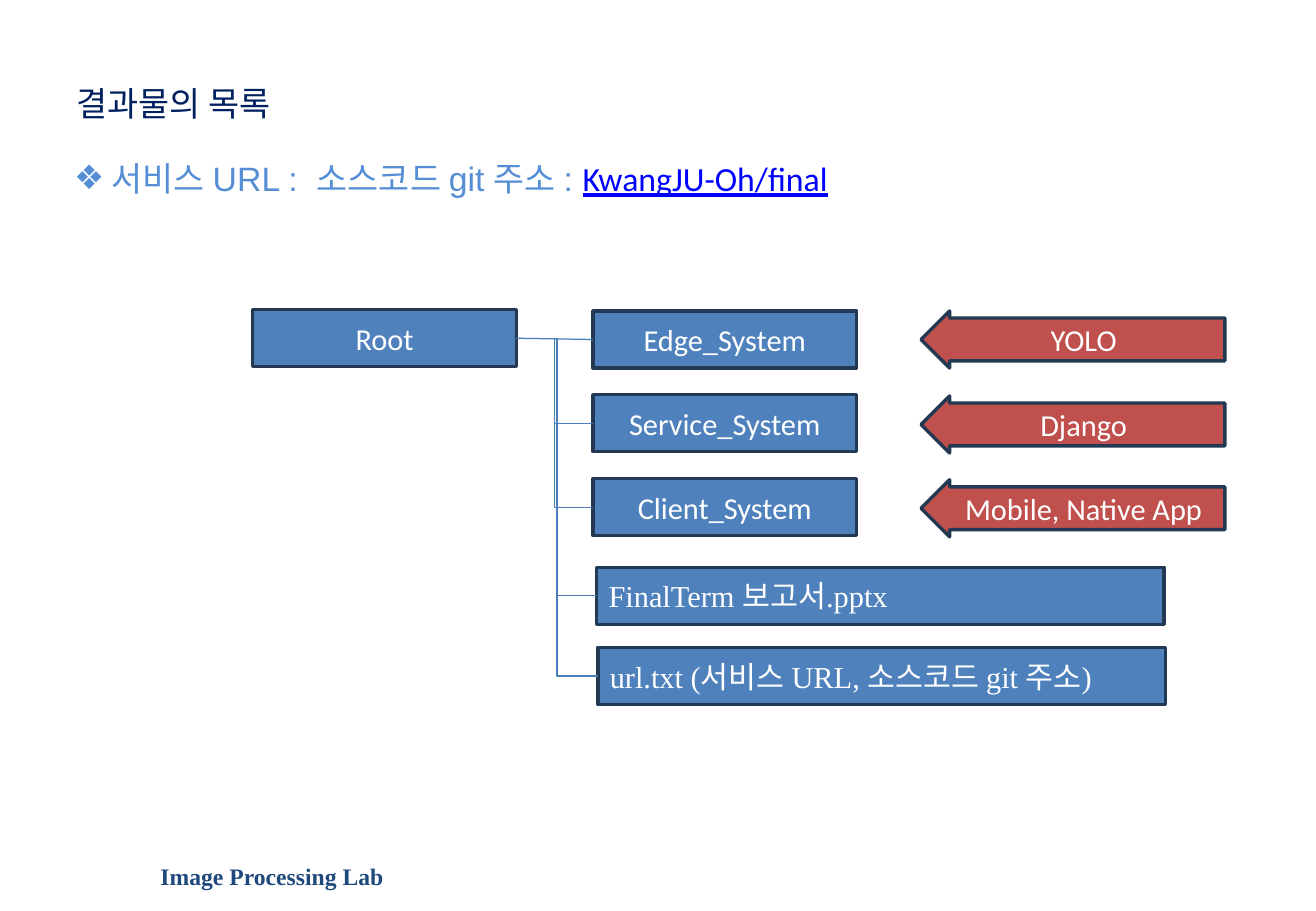
from dataclasses import dataclass

from pptx import Presentation
from pptx.dml.color import RGBColor
from pptx.enum.shapes import MSO_CONNECTOR as Connector
from pptx.enum.shapes import MSO_SHAPE as Preset
from pptx.enum.text import MSO_ANCHOR as Anchor
from pptx.enum.text import MSO_AUTO_SIZE as AutoSize
from pptx.enum.text import PP_ALIGN as Align
from pptx.oxml.ns import qn
from pptx.util import Pt

PX = 9144  # EMU in one px, 100 px to the inch

WHITE = RGBColor(0xFF, 0xFF, 0xFF)
NAVY = RGBColor(0x00, 0x20, 0x60)
FOOTER_BLUE = RGBColor(0x1F, 0x49, 0x7D)
LIST_BLUE = RGBColor(0x55, 0x8E, 0xD5)
LINK_BLUE = RGBColor(0x00, 0x00, 0xFF)
BOX_BLUE = RGBColor(0x4F, 0x81, 0xBD)
ARROW_RED = RGBColor(0xC0, 0x50, 0x4D)
OUTLINE = RGBColor(0x23, 0x39, 0x53)
BRANCH_BLUE = RGBColor(0x4B, 0x7E, 0xBC)

SANS, SERIF, ARIAL = "Calibri", "Times New Roman", "Arial"
NODE_HEIGHT = 47
RIGHT_SITE, LEFT_SITE = 3, 1


@dataclass(frozen=True)
class Node:
    text: str
    left: int
    top: int
    width: int
    font: str = SANS
    align: Align = Align.CENTER
    preset: Preset = Preset.RECTANGLE
    fill: RGBColor = BOX_BLUE


ROOT = Node("Root", 208, 255, 217)
SYSTEMS = [
    Node(name, 488, 256 + 69 * row, 217)
    for row, name in enumerate(["Edge_System", "Service_System", "Client_System"])
]
FILES = [
    Node("FinalTerm 보고서.pptx", 491, 467, 467, SERIF, Align.LEFT),
    Node("url.txt (서비스 URL, 소스코드 git 주소)", 492, 533, 467, SERIF, Align.LEFT),
]
TOOLS = [
    Node(name, 758, top, 250, preset=Preset.LEFT_ARROW, fill=ARROW_RED)
    for name, top in [("YOLO", 256), ("Django", 326), ("Mobile, Native App", 395)]
]


def style_font(font, name: str, size: int, color: RGBColor) -> None:
    font.name = name
    font.size = Pt(size)
    font.color.rgb = color


def place_text(box, left: int, top: int, width: int, height: int):
    """Moves a text shape, clears its insets and returns its first paragraph."""
    box.left, box.top = left * PX, top * PX
    box.width, box.height = width * PX, height * PX
    frame = box.text_frame
    frame.word_wrap = True
    frame.auto_size = AutoSize.NONE
    frame.vertical_anchor = Anchor.TOP
    frame.margin_left = frame.margin_right = frame.margin_bottom = 0
    frame.margin_top = PX
    para = frame.paragraphs[0]
    para.alignment = Align.LEFT
    para.space_before = Pt(0)
    return para


def add_node(page, node: Node):
    shape = page.shapes.add_shape(
        node.preset, node.left * PX, node.top * PX, node.width * PX, NODE_HEIGHT * PX
    )
    shape.shadow.inherit = False
    shape.fill.solid()
    shape.fill.fore_color.rgb = node.fill
    shape.line.color.rgb = OUTLINE
    shape.line.width = Pt(2)
    if node.preset == Preset.LEFT_ARROW:
        shape.adjustments[0] = 0.75
    frame = shape.text_frame
    frame.text = node.text
    frame.vertical_anchor = Anchor.MIDDLE
    para = frame.paragraphs[0]
    para.alignment = node.align
    style_font(para.runs[0].font, node.font, 18, WHITE)
    return shape


def add_branch(page, start, end, kind: Connector) -> None:
    branch = page.shapes.add_connector(kind, 0, 0, 0, 0)
    branch.begin_connect(start, RIGHT_SITE)
    branch.end_connect(end, LEFT_SITE)
    branch.line.color.rgb = BRANCH_BLUE
    branch.line.width = Pt(0.75)
    properties = branch._element.spPr
    properties.append(properties.makeelement(qn("a:effectLst"), {}))


def add_bullet(para, symbol: str, indent: int, hanging: int) -> None:
    properties = para._p.get_or_add_pPr()
    properties.set("marL", str(indent * PX))
    properties.set("indent", str(-hanging * PX))
    properties.append(properties.makeelement(qn("a:buChar"), {"char": symbol}))


def main() -> None:
    deck = Presentation()
    deck.slide_width, deck.slide_height = 1083 * PX, 750 * PX
    page = deck.slides.add_slide(deck.slide_layouts[1])

    # Title
    para = place_text(page.shapes.title, 63, 67, 287, 35)
    para.text = "결과물의 목록"
    style_font(para.runs[0].font, SERIF, 20, NAVY)

    # Address line
    para = place_text(page.placeholders[1], 59, 129, 884, 35)
    add_bullet(para, "❖", 33, 31)
    para.text = "서비스 URL :  소스코드 git 주소 : "
    style_font(para.runs[0].font, ARIAL, 20, LIST_BLUE)
    span = para.add_run()
    span.text = "KwangJU-Oh/final"
    style_font(span.font, SANS, 20, LINK_BLUE)
    span.font.underline = True

    # Folder tree
    root = add_node(page, ROOT)
    for node in SYSTEMS + FILES:
        kind = Connector.STRAIGHT if node is SYSTEMS[0] else Connector.ELBOW
        add_branch(page, root, add_node(page, node), kind)

    # Tools pointing at the systems
    for node in TOOLS:
        add_node(page, node)

    # Footer
    para = place_text(page.shapes.add_textbox(0, 0, 0, 0), 132, 709, 187, 26)
    para.text = "Image Processing Lab"
    style_font(para.runs[0].font, SERIF, 14, FOOTER_BLUE)
    para.runs[0].font.bold = True

    deck.save("out.pptx")


if __name__ == "__main__":
    main()
